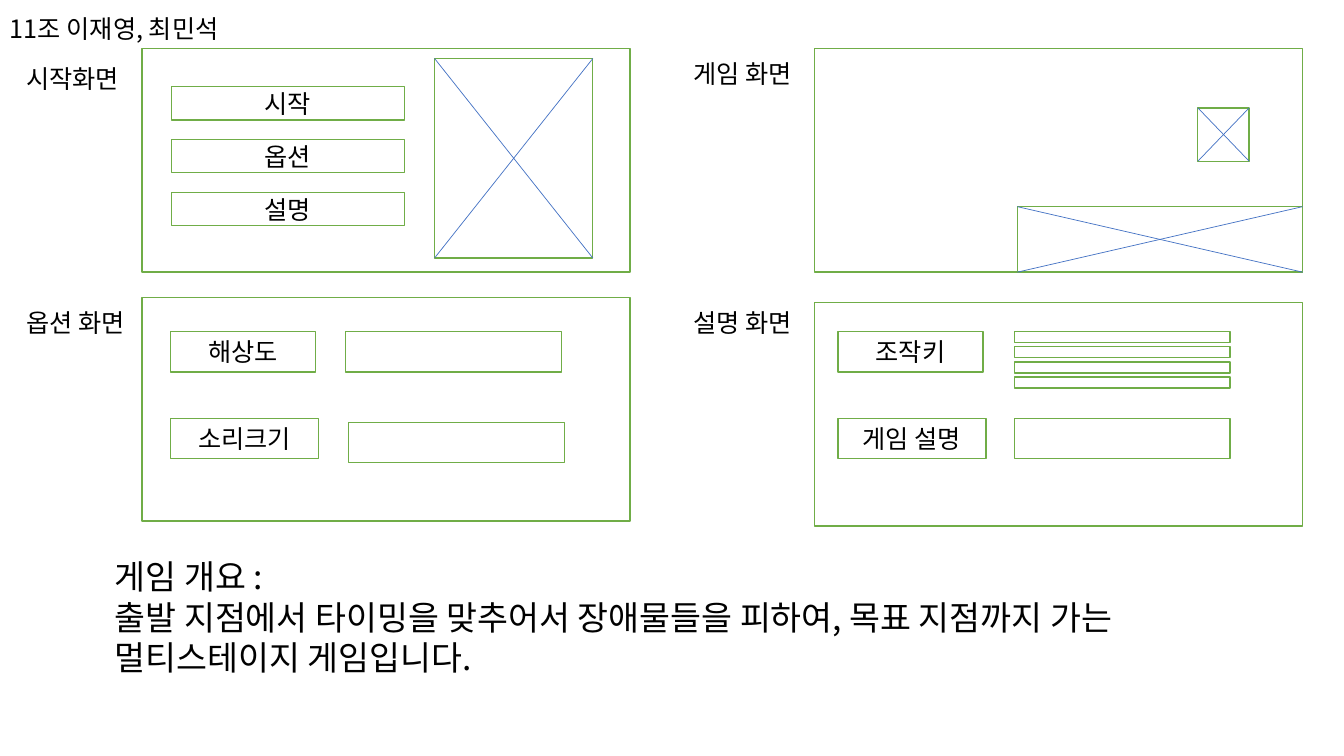
from lxml import etree
from pptx import Presentation
from pptx import util as u
from pptx.dml.color import RGBColor
from pptx.enum import shapes, text
from pptx.oxml.ns import qn

FONT = "Noto Sans CJK KR"
GREEN, BLUE, WHITE, BLACK = "70AD47", "4472C4", "FFFFFF", "000000"
WIDE, HIGH = 4.84, 2.22  # size of each screen

deck = Presentation()
deck.slide_width, deck.slide_height = u.Inches(13.33), u.Inches(7.5)
slide = deck.slides.add_slide(deck.slide_layouts[6])


def color(code):
    return RGBColor.from_string(code)


def write(frame, words, size=18, align=None):
    for i, line in enumerate(words.split("\n")):
        para = frame.paragraphs[0] if i == 0 else frame.add_paragraph()
        para.alignment = align
        run = para.add_run()
        run.text = line
        run.font.size = u.Pt(size)
        run.font.color.rgb = color(BLACK)
        run.font.name = FONT
        east = etree.SubElement(run.font._element, qn("a:ea"))
        east.set("typeface", FONT)


def label(x, y, w, h, words, size=18, wrap=False):
    frame = slide.shapes.add_textbox(*map(u.Inches, (x, y, w, h))).text_frame
    frame.word_wrap = wrap
    frame.auto_size = text.MSO_AUTO_SIZE.SHAPE_TO_FIT_TEXT
    write(frame, words, size)


def box(x, y, w, h, words=None):
    rect = slide.shapes.add_shape(shapes.MSO_SHAPE.RECTANGLE,
                                  *map(u.Inches, (x, y, w, h)))
    rect.shadow.inherit = False
    rect.fill.solid()
    rect.fill.fore_color.rgb = color(WHITE)
    rect.line.color.rgb = color(GREEN)
    rect.line.width = u.Pt(1)
    if words:
        rect.text_frame.vertical_anchor = text.MSO_ANCHOR.MIDDLE
        write(rect.text_frame, words, align=text.PP_ALIGN.CENTER)


def cross(x, y, w, h):
    """Image slot: a box with both diagonals."""
    box(x, y, w, h)
    for top, end in ((y, y + h), (y + h, y)):
        line = slide.shapes.add_connector(
            shapes.MSO_CONNECTOR.STRAIGHT,
            *map(u.Inches, (x, top, x + w, end)))
        line.line.color.rgb = color(BLUE)
        line.line.width = u.Pt(0.5)
        etree.SubElement(line._element.spPr, qn("a:effectLst"))


def start(x, y):
    box(x, y, WIDE, HIGH)
    label(x - 1.25, y + 0.1, 1.21, 0.4, "시작화면")
    for i, name in enumerate(("시작", "옵션", "설명")):
        box(x + 0.29, y + 0.38 + i * 0.525, 2.31, 0.33, name)
    cross(x + 2.9, y + 0.1, 1.57, 1.98)


def game(x, y):
    box(x, y, WIDE, HIGH)
    label(x - 1.3, y + 0.05, 1.3, 0.4, "게임 화면")
    cross(x + WIDE - 2.83, y + HIGH - 0.65, 2.83, 0.65)
    cross(x + 3.8, y + 0.59, 0.51, 0.53)


def option(x, y):
    box(x, y, WIDE, HIGH)
    label(x - 1.25, y + 0.05, 1.3, 0.4, "옵션 화면")
    box(x + 0.28, y + 0.34, 1.44, 0.4, "해상도")
    box(x + 0.28, y + 1.2, 1.47, 0.4, "소리크기")
    box(x + 2.02, y + 0.34, 2.14, 0.4)
    box(x + 2.05, y + 1.24, 2.14, 0.4)


def guide(x, y):
    box(x, y, WIDE, HIGH)
    label(x - 1.3, y, 1.3, 0.4, "설명 화면")
    box(x + 0.23, y + 0.29, 1.44, 0.4, "조작키")
    box(x + 0.23, y + 1.15, 1.47, 0.4, "게임 설명")
    for i in range(4):
        box(x + 1.98, y + 0.29 + i * 0.15, 2.14, 0.11)
    box(x + 1.98, y + 1.15, 2.14, 0.4)


# Team, four screens, summary
label(0, 0.08, 2.48, 0.4, "11조 이재영, 최민석")
start(1.41, 0.48)
game(8.08, 0.48)
option(1.41, 2.95)
guide(8.08, 3)
label(1.04, 5.47, 10.84, 1.62,
      "게임 개요 :\n출발 지점에서 타이밍을 맞추어서 장애물들을 피하여, "
      "목표 지점까지 가는 멀티스테이지 게임입니다.", size=24, wrap=True)

deck.save("out.pptx")
